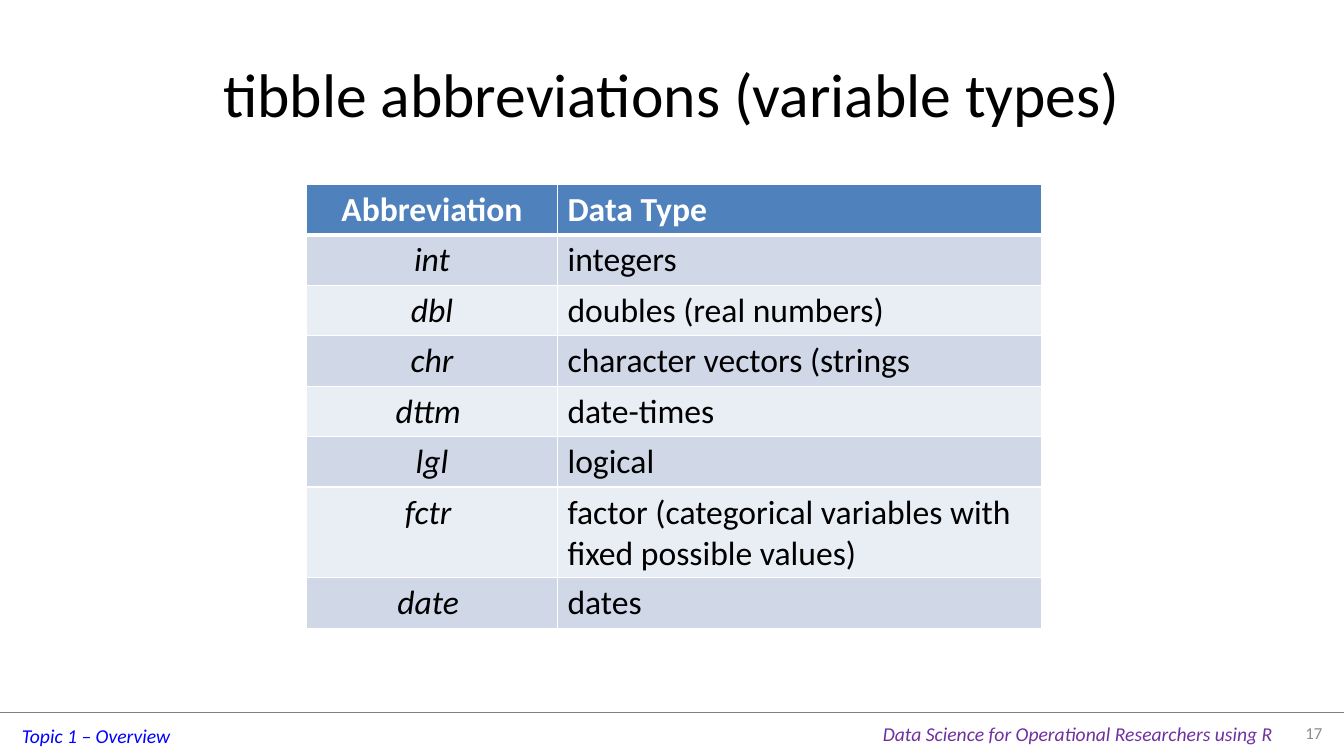
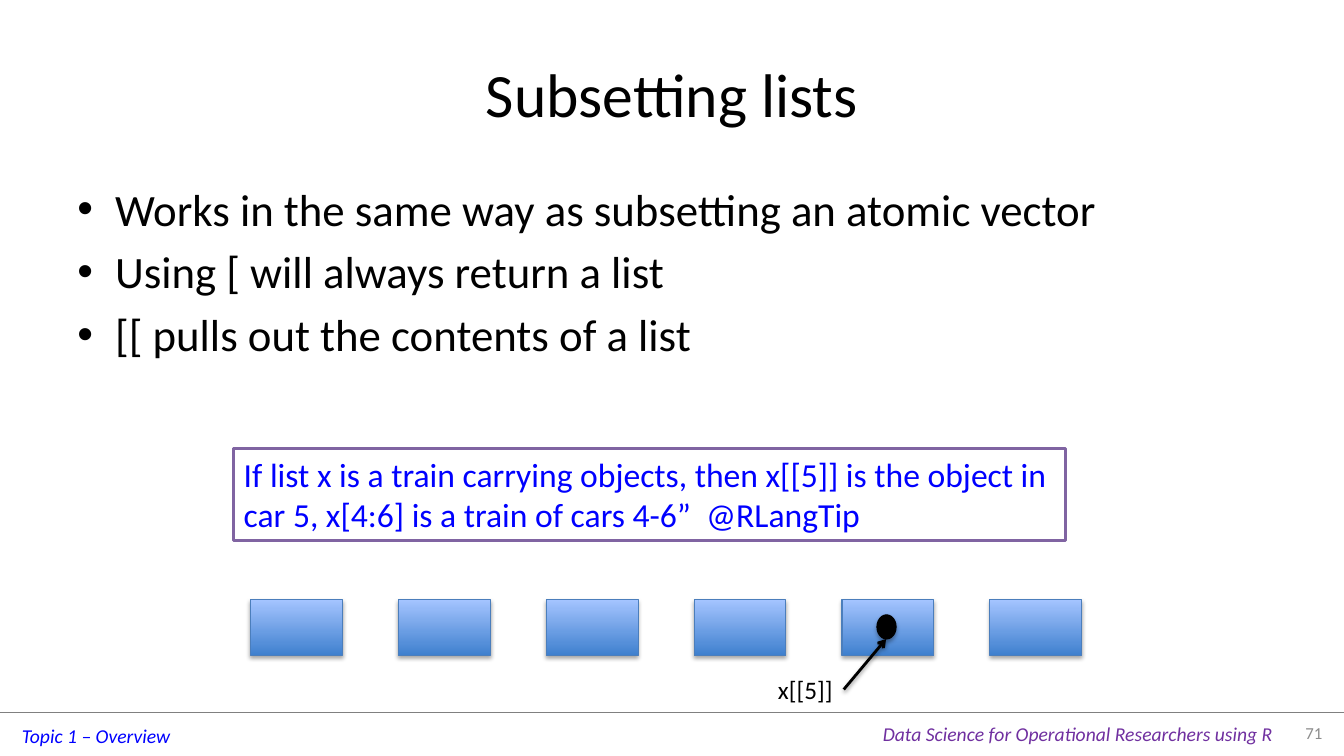
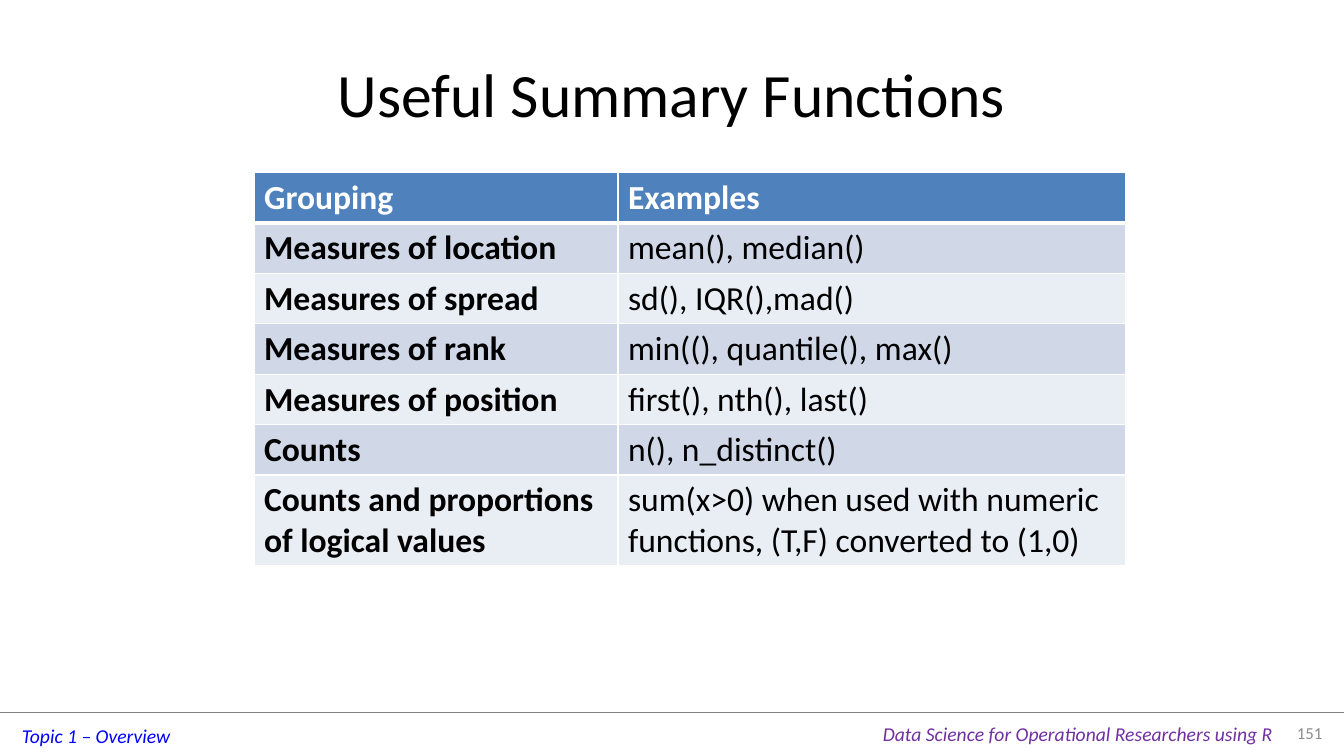
from lxml.etree import SubElement
from pptx import Presentation
from pptx.dml.color import RGBColor
from pptx.enum.shapes import MSO_CONNECTOR, MSO_SHAPE
from pptx.enum.text import MSO_ANCHOR, PP_ALIGN
from pptx.oxml.ns import qn
from pptx.util import Inches, Pt

FONT = "Calibri"
COLORS = {
    "text": "000000", "white": "FFFFFF", "rule": "808080", "number": "8C8C8C",
    "blue": "0000FF", "purple": "7030A0", "frame": "8064A2",
    "header": "4F81BD", "band_dark": "D0D8E8", "band_light": "E9EDF4",
    "car_bottom": "3F80CE", "car_top": "A4C4FF", "car_line": "4B7EBC",
}
TITLE_ONLY, TITLE_AND_BODY = 5, 1


def rgb(name):
    return RGBColor.from_string(COLORS[name])


class Deck:
    """Shared style and the current slide; lengths are percent of the slide."""

    def __init__(self):
        self.prs = Presentation()
        self.prs.slide_width, self.prs.slide_height = Inches(13.33), Inches(7.5)

    def x(self, share):
        return round(self.prs.slide_width * share / 100)

    def y(self, share):
        return round(self.prs.slide_height * share / 100)

    def box(self, left, top, width, height):
        return self.x(left), self.y(top), self.x(width), self.y(height)

    def place(self, shape, *box):
        shape.left, shape.top, shape.width, shape.height = self.box(*box)

    def style(self, tf, size, color="text", bold=False, italic=False, align=None):
        for p in tf.paragraphs:
            if align is not None:
                p.alignment = align
            for r in p.runs:
                r.font.name, r.font.size = FONT, Pt(size)
                r.font.bold, r.font.italic = bold, italic
                r.font.color.rgb = rgb(color)

    def effects(self, shape, shadow=None):
        """Replace the theme effects by none, or by a shadow of (opacity, distance)."""
        effects = SubElement(shape._element.spPr, qn("a:effectLst"))
        if shadow:
            opacity, distance = shadow
            outer = SubElement(effects, qn("a:outerShdw"), blurRad=str(Pt(3.1)),
                               dist=str(Pt(distance)), dir="5400000", rotWithShape="0")
            black = SubElement(outer, qn("a:srgbClr"), val=COLORS["text"])
            SubElement(black, qn("a:alpha"), val=str(opacity * 1000))

    def slide(self, layout, title, number):
        self.s = self.prs.slides.add_slide(self.prs.slide_layouts[layout])
        self.line((0, 94.27), (100, 94.27), "rule", 0.25)
        self.label("Topic 1 – Overview", (0.9, 95.07, 12.6, 4.53),
                   14, "blue", italic=True)
        self.label("Data Science for Operational Researchers using R",
                   (64.95, 94.8, 30.83, 4.53), 14, "purple", italic=True)
        tf = self.label(str(number), (95, 94.27, 4.13, 5.2), 12, "number",
                        align=PP_ALIGN.RIGHT)
        tf.word_wrap, tf.vertical_anchor = True, MSO_ANCHOR.MIDDLE
        sp = self.s.shapes.title
        self.place(sp, 5, 4, 90, 16.67)
        sp.text_frame.text = title
        self.style(sp.text_frame, 44)

    def bullets(self, items, box):
        sp = self.s.placeholders[1]
        self.place(sp, *box)
        sp.text_frame.text = "\n".join(items)
        self.style(sp.text_frame, 32)

    def label(self, text, box, size, color="text", **style):
        tf = self.s.shapes.add_textbox(*self.box(*box)).text_frame
        tf.word_wrap = False
        tf.text = text
        self.style(tf, size, color, **style)
        return tf

    def line(self, start, end, color, width, arrow=False, shadow=None):
        sp = self.s.shapes.add_connector(
            MSO_CONNECTOR.STRAIGHT, self.x(start[0]), self.y(start[1]),
            self.x(end[0]), self.y(end[1]))
        sp.line.color.rgb, sp.line.width = rgb(color), Pt(width)
        if arrow:
            SubElement(sp._element.spPr.find(qn("a:ln")), qn("a:tailEnd"), type="arrow")
        self.effects(sp, shadow)

    def shape(self, kind, box, fill, line, width=0.75, shadow=None):
        """Fill is one colour name, or a (bottom, top) pair for a gradient."""
        sp = self.s.shapes.add_shape(kind, *self.box(*box))
        if isinstance(fill, tuple):
            sp.fill.gradient()
            sp.fill.gradient_angle = 90
            for stop, color in zip(sp.fill.gradient_stops, fill):
                stop.color.rgb = rgb(color)
        else:
            sp.fill.solid()
            sp.fill.fore_color.rgb = rgb(fill)
        sp.line.color.rgb, sp.line.width = rgb(line), Pt(width)
        self.effects(sp, shadow)
        return sp

    def quote(self, text, box):
        tf = self.shape(MSO_SHAPE.RECTANGLE, box, "white", "frame", 2).text_frame
        tf.word_wrap, tf.vertical_anchor = True, MSO_ANCHOR.TOP
        tf.text = text
        self.style(tf, 24, "blue", align=PP_ALIGN.LEFT)

    def cell_borders(self, cell, **widths):
        tc_pr = cell._tc.get_or_add_tcPr()
        for i, side in enumerate("LRTB"):
            ln = tc_pr.makeelement(qn(f"a:ln{side}"), w=str(Pt(widths.get(side, 1))))
            fill = SubElement(ln, qn("a:solidFill"))
            SubElement(fill, qn("a:srgbClr"), val=COLORS["white"])
            tc_pr.insert(i, ln)

    def table(self, rows, left, top, columns, first_align=PP_ALIGN.LEFT, **first_style):
        """First row is the header; first_style formats the first column below it."""
        frame = self.s.shapes.add_table(
            len(rows), len(columns), *self.box(left, top, sum(columns), 5.5 * len(rows)))
        table = frame.table
        for column, width in zip(table.columns, columns):
            column.width = self.x(width)
        for i, row in enumerate(rows):
            band = "band_dark" if i % 2 else "band_light"
            for j, text in enumerate(row):
                cell = table.cell(i, j)
                cell.text_frame.text = text
                cell.fill.solid()
                cell.fill.fore_color.rgb = rgb(band if i else "header")
                align = PP_ALIGN.LEFT if j else first_align
                if i == 0:
                    self.style(cell.text_frame, 24, "white", bold=True, align=align)
                else:
                    self.style(cell.text_frame, 24, align=align,
                               **({} if j else first_style))
                self.cell_borders(cell, T=3 if i == 1 else 1, B=1 if i else 3)


def variable_types(deck):
    deck.slide(TITLE_ONLY, "tibble abbreviations (variable types)", 17)
    deck.table([
        ("Abbreviation", "Data Type"),
        ("int", "integers"),
        ("dbl", "doubles (real numbers)"),
        ("chr", "character vectors (strings"),
        ("dttm ", "date-times"),
        ("lgl", "logical"),
        ("fctr ", "factor (categorical variables with fixed possible values)"),
        ("date ", "dates"),
    ], 22.8, 24.4, (18.68, 36), PP_ALIGN.CENTER, italic=True)


def subsetting_lists(deck):
    deck.slide(TITLE_AND_BODY, "Subsetting lists", 71)
    deck.bullets([
        "Works in the same way as subsetting an atomic vector",
        "Using [ will always return a list",
        "[[ pulls out the contents of a list",
    ], (5, 23.33, 90, 29.47))
    deck.quote("If list x is a train carrying objects, then x[[5]] is the object in "
               "car 5, x[4:6] is a train of cars 4-6”  @RLangTip",
               (17.4, 59.33, 61.9, 12.13))
    for car in range(6):
        deck.shape(MSO_SHAPE.RECTANGLE, (18.65 + 11 * car, 79.33, 6.83, 7.4),
                   ("car_bottom", "car_top"), "car_line", shadow=(35, 1.8))
    deck.shape(MSO_SHAPE.OVAL, (65.25, 81.33, 1.43, 3.2), "text", "text",
               shadow=(35, 1.8))
    deck.label("x[[5]]", (57.15, 88.53, 5.63, 5.33), 18)
    deck.line((62.78, 91.2), (65.93, 84.53), "text", 2, arrow=True, shadow=(38, 1.6))


def summary_functions(deck):
    deck.slide(TITLE_ONLY, "Useful Summary Functions", 151)
    deck.table([
        ("Grouping", "Examples"),
        ("Measures of location", "mean(), median()"),
        ("Measures of spread", "sd(), IQR(),mad()"),
        ("Measures of rank", "min((), quantile(), max()"),
        ("Measures of position", "first(), nth(), last()"),
        ("Counts", "n(), n_distinct()"),
        ("Counts and proportions of logical values",
         "sum(x>0) when used with numeric functions, (T,F) converted to (1,0)"),
    ], 18.9, 22.8, (27.08, 37.8), bold=True)


def main():
    deck = Deck()
    variable_types(deck)
    subsetting_lists(deck)
    summary_functions(deck)
    deck.prs.save("out.pptx")


if __name__ == "__main__":
    main()
